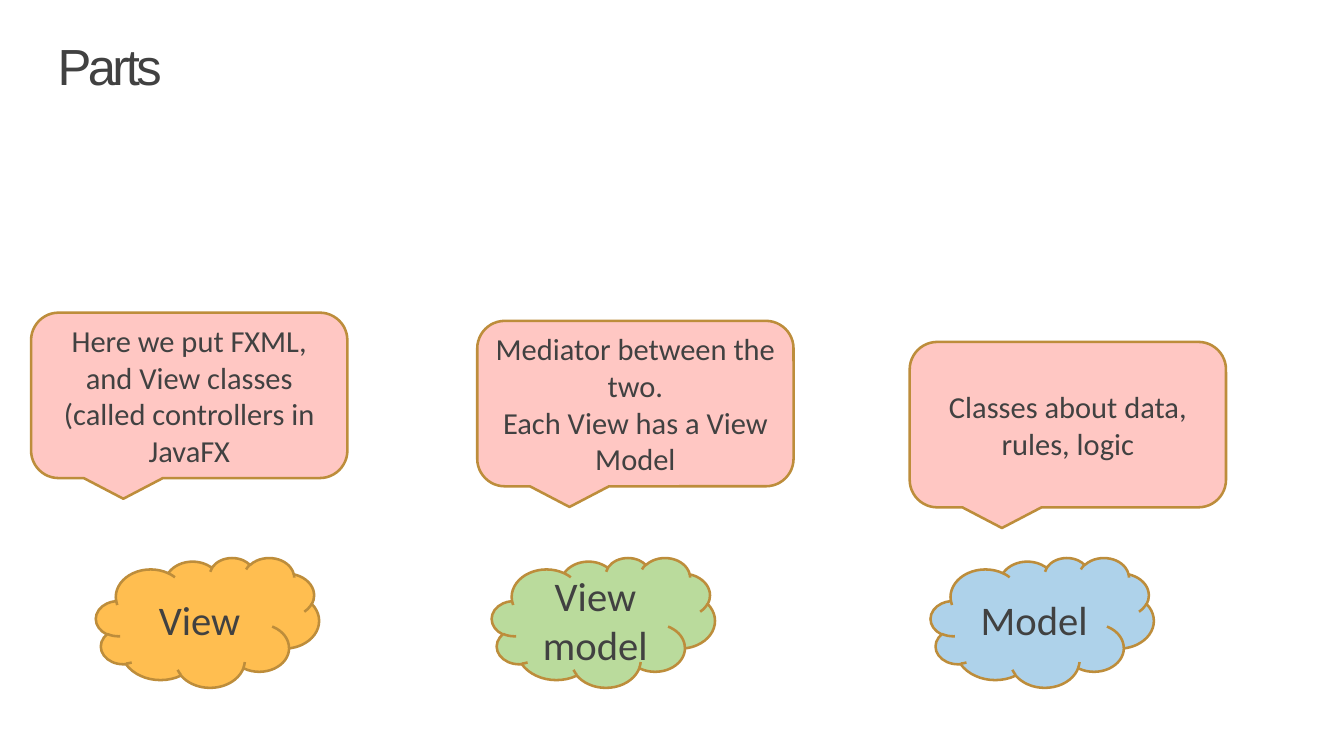
from dataclasses import dataclass

from pptx import Presentation
from pptx.dml.color import RGBColor
from pptx.enum import shapes, text
from pptx.slide import Slide
from pptx.util import Inches, Pt

INK = RGBColor(0x41, 0x41, 0x41)
OUTLINE = RGBColor(0xBD, 0x8D, 0x3B)
PINK = RGBColor(0xFF, 0xC7, 0xC3)
ORANGE = RGBColor(0xFF, 0xBE, 0x50)
GREEN = RGBColor(0xBA, 0xDB, 0x9C)
BLUE = RGBColor(0xAE, 0xD2, 0xEA)

CLOUD_TOP, CLOUD_WIDTH, CLOUD_HEIGHT = 6.1, 2.44, 1.42
CALLOUT_WIDTH, CALLOUT_HEIGHT = 3.46, 1.81


@dataclass(frozen=True)
class Part:
    name: str
    color: RGBColor
    cloud_left: float
    callout_left: float
    callout_top: float
    description: str


PARTS = [
    Part("View", ORANGE, 1.05, 0.34, 3.42,
         "Here we put FXML, and View classes (called controllers in JavaFX"),
    Part("View model", GREEN, 5.38, 5.22, 3.51,
         "Mediator between the two.\nEach View has a View Model"),
    Part("Model", BLUE, 10.18, 9.95, 3.74, "Classes about data, rules, logic"),
]


def add_bubble(page: Slide, kind: shapes.MSO_SHAPE, left: float, top: float,
               width: float, height: float, fill: RGBColor,
               wording: str, size: int) -> None:
    bubble = page.shapes.add_shape(
        kind, Inches(left), Inches(top), Inches(width), Inches(height))
    bubble.shadow.inherit = False
    bubble.fill.solid()
    bubble.fill.fore_color.rgb = fill
    bubble.line.color.rgb = OUTLINE
    bubble.line.width = Pt(2)
    frame = bubble.text_frame
    frame.word_wrap = True
    frame.vertical_anchor = text.MSO_ANCHOR.MIDDLE
    frame.text = wording
    for paragraph in frame.paragraphs:
        paragraph.alignment = text.PP_ALIGN.CENTER
        paragraph.font.name = "Calibri"
        paragraph.font.size = Pt(size)
        paragraph.font.color.rgb = INK


def format_title(page: Slide, wording: str) -> None:
    title = page.shapes.title
    title.left, title.top = Inches(0.63), Inches(0.43)
    title.width, title.height = Inches(14.07), Inches(1.02)
    frame = title.text_frame
    frame.text = wording
    frame.auto_size = text.MSO_AUTO_SIZE.NONE
    frame.vertical_anchor = text.MSO_ANCHOR.TOP
    frame.margin_left = frame.margin_right = frame.margin_bottom = 0
    frame.margin_top = Inches(0.12)
    paragraph = frame.paragraphs[0]
    paragraph.alignment = text.PP_ALIGN.LEFT
    paragraph.line_spacing = 0.73
    paragraph.font.name = "Arial"
    paragraph.font.size = Pt(40)
    paragraph.font.color.rgb = INK
    span = paragraph.runs[0]
    span.font.bold = False
    span._r.get_or_add_rPr().set("spc", "-280")


def main() -> None:
    deck = Presentation()
    deck.slide_width, deck.slide_height = Inches(14.7), Inches(8.27)
    page = deck.slides.add_slide(deck.slide_layouts.get_by_name("Title Only"))
    format_title(page, "Parts")
    for part in PARTS:
        add_bubble(page, shapes.MSO_SHAPE.CLOUD, part.cloud_left, CLOUD_TOP,
                   CLOUD_WIDTH, CLOUD_HEIGHT, part.color, part.name, 32)
        add_bubble(page, shapes.MSO_SHAPE.ROUNDED_RECTANGULAR_CALLOUT,
                   part.callout_left, part.callout_top,
                   CALLOUT_WIDTH, CALLOUT_HEIGHT, PINK, part.description, 24)
    deck.save("out.pptx")


if __name__ == "__main__":
    main()
